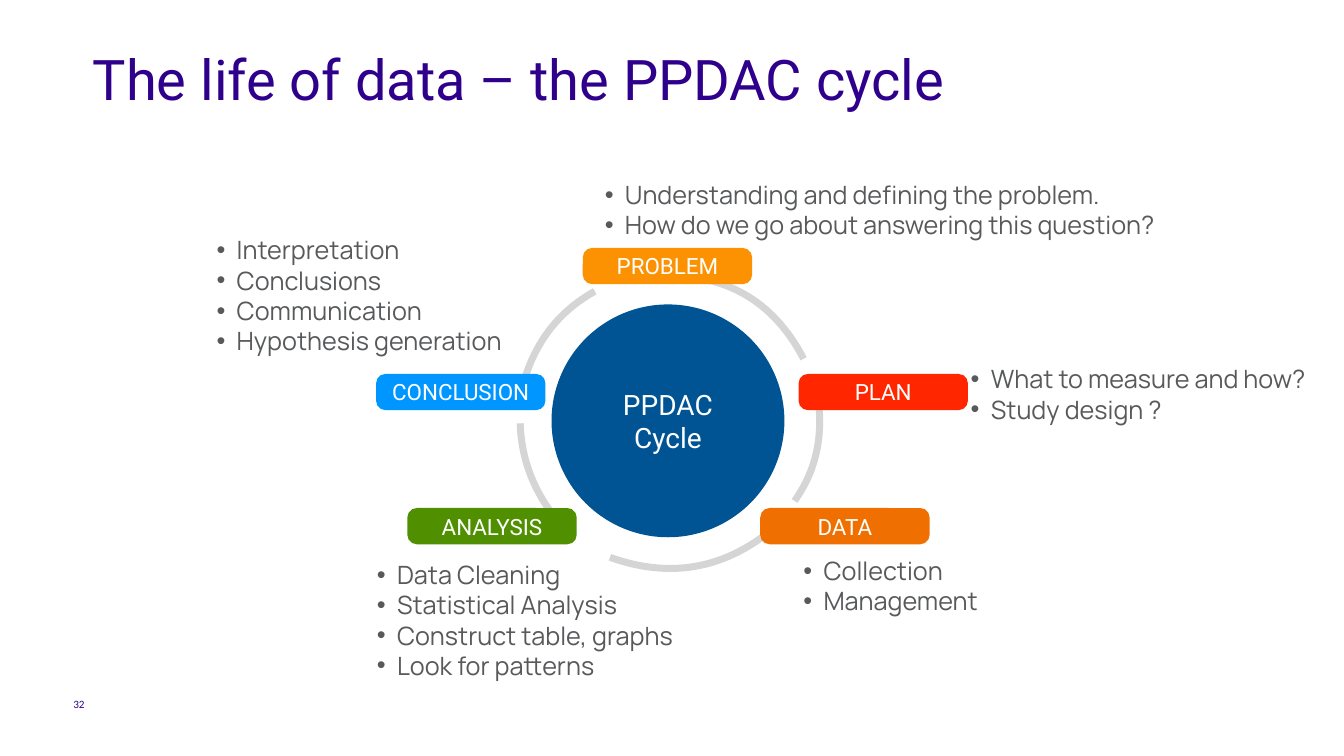
import pptx
import pptx.util
import pptx.dml.color
import pptx.enum.shapes
import pptx.enum.text
import pptx.oxml.ns
import lxml.etree

Inches, Pt = pptx.util.Inches, pptx.util.Pt
SHAPE = pptx.enum.shapes.MSO_SHAPE
ALIGN = pptx.enum.text.PP_ALIGN
ANCHOR = pptx.enum.text.MSO_ANCHOR
FIT = pptx.enum.text.MSO_AUTO_SIZE.SHAPE_TO_FIT_TEXT
qn = pptx.oxml.ns.qn

# Content
TITLE = "The life of data – the PPDAC cycle"
PAGE_NUMBER = "32"
HUB = "PPDAC Cycle"
COLOURS = {
    "title": "2E008B", "body": "58595B", "white": "FFFFFF", "arc": "D5D5D5",
    "hub": "005493", "problem": "FC9201", "plan": "FF2600", "data": "EF7001",
    "analysis": "4F8F00", "conclusion": "0096FF",
}

# Each stage: name, label corner, notes corner, notes width, notes
STAGES = [
    ("PROBLEM", (5.78, 2.46), (5.9, 1.73), 6.24,
     ["Understanding and defining the problem.",
      "How do we go about answering this question?"]),
    ("PLAN", (7.92, 3.71), (9.53, 3.56), 4.06,
     ["What to measure and how?", "Study design ?"]),
    ("DATA", (7.54, 5.04), (7.87, 5.46), 2.11,
     ["Collection", "Management"]),
    ("ANALYSIS", (4.04, 5.04), (3.64, 5.5), 3.44,
     ["Data Cleaning", "Statistical Analysis",
      "Construct table, graphs", "Look for patterns"]),
    ("CONCLUSION", (3.73, 3.71), (2.05, 2.28), 3.23,
     ["Interpretation", "Conclusions", "Communication",
      "Hypothesis generation"]),
]

# Ring arcs as cubic curves: start, two control points, end
ARCS = [
    ((6.52, 2.74), (7.18, 2.7), (7.67, 2.98), (7.97, 3.56)),
    ((8.12, 4), (8.16, 4.37), (8.08, 4.69), (7.88, 4.97)),
    ((7.65, 5.26), (7.17, 5.65), (6.64, 5.74), (6.05, 5.53)),
    ((5.56, 5.2), (5.3, 4.9), (5.17, 4.56), (5.16, 4.2)),
    ((5.17, 3.88), (5.28, 3.43), (5.52, 3.1), (5.9, 2.89)),
]
LABEL_SIZE = (1.68, 0.36)
HUB_BOX = (5.47, 3.02, 2.31, 2.31)


def rgb(name):
    return pptx.dml.color.RGBColor.from_string(COLOURS[name])


def set_frame(frame, margins, anchor):
    frame.word_wrap = True
    frame.vertical_anchor = anchor
    frame.margin_left = frame.margin_right = Inches(margins[0])
    frame.margin_top = frame.margin_bottom = Inches(margins[1])


def write(para, text, size, font, colour, align=ALIGN.LEFT):
    para.alignment = align
    span = para.add_run()
    span.text = text
    span.font.size = Pt(size)
    span.font.name = font
    span.font.color.rgb = rgb(colour)


def add_text(page, box, margins=(0, 0), anchor=ANCHOR.TOP):
    frame = page.shapes.add_textbox(*map(Inches, box)).text_frame
    set_frame(frame, margins, anchor)
    return frame


def add_filled(page, kind, box, colour, text, size):
    shape = page.shapes.add_shape(kind, *map(Inches, box))
    shape.shadow.inherit = False
    shape.fill.solid()
    shape.fill.fore_color.rgb = rgb(colour)
    shape.line.fill.background()
    set_frame(shape.text_frame, (0.06, 0.06), ANCHOR.MIDDLE)
    write(shape.text_frame.paragraphs[0], text, size, "Roboto", "white",
          ALIGN.CENTER)
    return shape


def curve_range(values):
    """Lowest and highest value of a cubic curve along one axis."""
    a, b, c, d = values
    steps = [i / 100 for i in range(101)]
    track = [a * (1 - t) ** 3 + 3 * b * t * (1 - t) ** 2
             + 3 * c * t * t * (1 - t) + d * t ** 3 for t in steps]
    return Inches(min(track)), Inches(max(track))


def add_arc(page, curve):
    points = [(Inches(x), Inches(y)) for x, y in curve]
    builder = page.shapes.build_freeform(*points[0])
    builder.add_line_segments([points[-1]], close=False)
    arc = builder.convert_to_shape()
    (left, right), (top, bottom) = map(curve_range, zip(*curve))
    arc.left, arc.top = left, top
    arc.width, arc.height = right - left, bottom - top

    # Turn the straight segment into one curve
    outline = next(arc._element.iter(qn("a:path")))
    outline.set("w", str(right - left))
    outline.set("h", str(bottom - top))
    for segment in list(outline):
        outline.remove(segment)
    for tag, members in (("a:moveTo", points[:1]), ("a:cubicBezTo", points[1:])):
        segment = lxml.etree.SubElement(outline, qn(tag))
        for x, y in members:
            lxml.etree.SubElement(segment, qn("a:pt"),
                                  x=str(x - left), y=str(y - top))

    arc.shadow.inherit = False
    arc.fill.background()
    arc.line.color.rgb = rgb("arc")
    arc.line.width = Pt(5)


def add_bullet(para):
    properties = para._p.get_or_add_pPr()
    properties.set("marL", str(Inches(0.2)))
    properties.set("indent", str(-Inches(0.2)))
    lxml.etree.SubElement(properties, qn("a:buFont"), typeface="Arial")
    lxml.etree.SubElement(properties, qn("a:buChar"), char="•")


def add_label(page, name, corner):
    label = add_filled(page, SHAPE.ROUNDED_RECTANGLE, (*corner, *LABEL_SIZE),
                       name.lower(), name, 16)
    label.adjustments[0] = 0.26


def add_notes(page, corner, width, notes):
    height = 0.11 + 0.3 * len(notes)
    frame = add_text(page, (*corner, width, height), (0.1, 0.05))
    frame.word_wrap = False
    frame.auto_size = FIT
    for i, note in enumerate(notes):
        para = frame.paragraphs[0] if i == 0 else frame.add_paragraph()
        add_bullet(para)
        write(para, note, 18, "Manrope", "body")


def main():
    deck = pptx.Presentation()
    deck.slide_width, deck.slide_height = Inches(13.33), Inches(7.5)
    page = deck.slides.add_slide(deck.slide_layouts[6])

    # Title and page number
    title = add_text(page, (0.92, 0.44, 11.5, 0.67))
    write(title.paragraphs[0], TITLE, 40, "Roboto", "title")
    number = add_text(page, (0, 6.92, 0.84, 0.13), anchor=ANCHOR.BOTTOM)
    write(number.paragraphs[0], PAGE_NUMBER, 8, "Calibri", "title", ALIGN.RIGHT)

    # Ring and hub
    for curve in ARCS:
        add_arc(page, curve)
    add_filled(page, SHAPE.OVAL, HUB_BOX, "hub", HUB, 20)

    # Stage labels, then their notes
    for name, corner, *_ in STAGES:
        add_label(page, name, corner)
    for _, _, corner, width, notes in STAGES:
        add_notes(page, corner, width, notes)

    deck.save("out.pptx")


if __name__ == "__main__":
    main()
